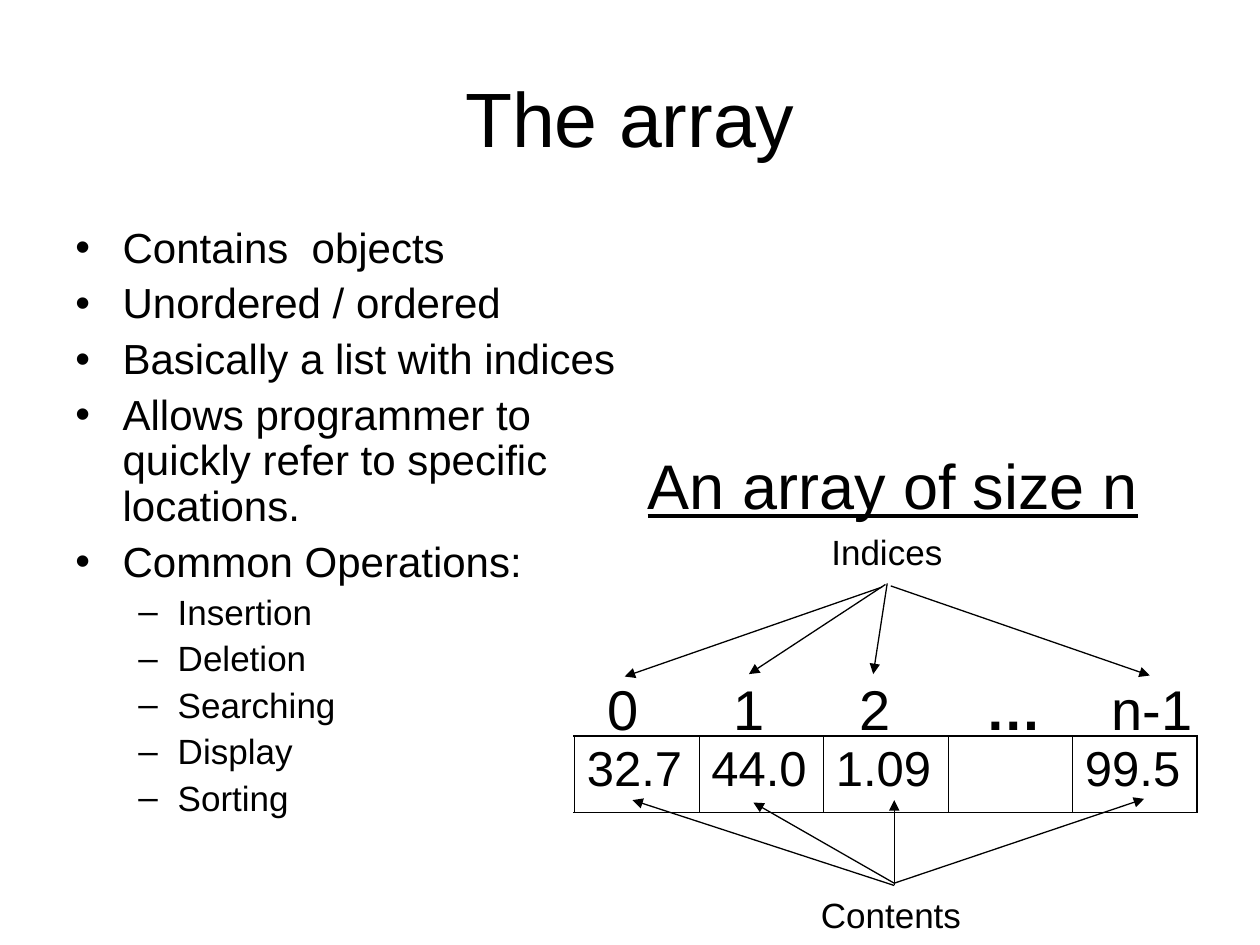
from pptx import Presentation
from pptx.dml.color import RGBColor
from pptx.enum import text
from pptx.oxml import parse_xml
from pptx.oxml.ns import nsdecls
from pptx.util import Pt

BLACK = RGBColor(0, 0, 0)
FONT = "Arial"

TITLE = "The array"
POINTS = [
    (0, "Contains  objects"),
    (0, "Unordered / ordered"),
    (0, "Basically a list with indices"),
    (0, "Allows programmer to quickly refer to specific locations."),
    (0, "Common Operations:"),
    (1, "Insertion"),
    (1, "Deletion"),
    (1, "Searching"),
    (1, "Display"),
    (1, "Sorting"),
]
# per level: bullet, size, space before, left margin, hanging indent
LEVELS = [("•", 24, 6, 27, 27), ("–", 20, 5, 58.5, 22.5)]

VALUES = ["32.7", "44.0", "1.09", "", "99.5"]
INDICES = ["0", "1", "2", "…", "n-1"]
TABLE_LEFT, TABLE_TOP, CELL_WIDTH, CELL_HEIGHT = 328.2, 420.5, 71.15, 43.8
TAB_STEP = 72
OUTER, INNER = 1.08, 0.45

# text, left, top, width, height, size, underlined
LABELS = [
    ("An array of size n", 363, 251.5, 294.5, 50.5, 36, True),
    ("Indices", 468, 299.5, 78, 31.5, 20, False),
    ("Contents", 462, 507, 94.5, 31.5, 20, False),
]
# start point, arrow point
ARROWS = [
    ((504, 335.5), (357, 386.6)),
    ((506, 334), (428, 385.2)),
    ((509, 334.8), (657, 386)),
    ((507, 333.4), (499, 385.2)),
    ((511, 504.7), (430.5, 458.6)),
    ((511, 506), (361.4, 457.2)),
    ((511, 504.7), (653.8, 456.5)),
    ((511, 506), (511, 457.2)),
]


def style(para, size):
    for span in para.runs:
        span.font.name = FONT
        span.font.size = Pt(size)
        span.font.color.rgb = BLACK


def xml(content):
    """Parse one drawing element, such as 'buChar char="•"'."""
    return parse_xml(f"<a:{content} {nsdecls('a')}/>")


def add_title(page):
    title = page.shapes.title
    title.left, title.top, title.width, title.height = Pt(36), Pt(21.6), Pt(648), Pt(90)
    title.text_frame.text = TITLE
    title.text_frame.vertical_anchor = text.MSO_ANCHOR.MIDDLE
    para = title.text_frame.paragraphs[0]
    para.alignment = text.PP_ALIGN.CENTER
    style(para, 44)


def add_points(page):
    box = page.shapes.add_textbox(Pt(36), Pt(126), Pt(343.5), Pt(356.4))
    frame = box.text_frame
    frame.word_wrap = True
    frame.text = "\n".join(words for _, words in POINTS)
    for para, (level, _) in zip(frame.paragraphs, POINTS):
        bullet, size, before, margin, hanging = LEVELS[level]
        para.level = level
        para.line_spacing = 0.9
        para.space_before = Pt(before)
        style(para, size)
        props = para._p.get_or_add_pPr()
        props.set("marL", str(Pt(margin)))
        props.set("indent", str(-Pt(hanging)))
        props.append(xml(f'buFont typeface="{FONT}"'))
        props.append(xml(f'buChar char="{bullet}"'))


def add_label(page, words, left, top, width, height, size, underlined=False):
    box = page.shapes.add_textbox(Pt(left), Pt(top), Pt(width), Pt(height))
    box.text_frame.word_wrap = False
    box.text_frame.text = words
    para = box.text_frame.paragraphs[0]
    style(para, size)
    if underlined:
        para.runs[0].font.underline = True
    return para


def add_indices(page):
    para = add_label(page, "", 340, 381.6, 348.5, 46, 32)
    tabs = xml("tabLst")
    for number, index in enumerate(INDICES):
        span = para.add_run()
        span.text = index if number == len(INDICES) - 1 else index + "\t"
        span.font.bold = index == "…"
        if number:
            tabs.append(xml(f'tab pos="{Pt(number * TAB_STEP)}" algn="l"'))
    para._p.get_or_add_pPr().append(tabs)
    style(para, 32)


def add_border(cell, side, width):
    line = xml(f'ln{side} w="{Pt(width)}"')
    fill = xml("solidFill")
    fill.append(xml(f'srgbClr val="{BLACK}"'))
    line.append(fill)
    cell._tc.get_or_add_tcPr().append(line)


def add_array(page):
    count = len(VALUES)
    table = page.shapes.add_table(
        1, count, Pt(TABLE_LEFT), Pt(TABLE_TOP), Pt(count * CELL_WIDTH), Pt(CELL_HEIGHT)
    ).table
    table.first_row = table.horz_banding = False
    for number, value in enumerate(VALUES):
        table.columns[number].width = Pt(CELL_WIDTH)
        cell = table.cell(0, number)
        cell.text = value
        para = cell.text_frame.paragraphs[0]
        para.space_before = Pt(7)
        style(para, 28)
        add_border(cell, "L", OUTER if number == 0 else INNER)
        add_border(cell, "R", OUTER if number == count - 1 else INNER)
        add_border(cell, "T", OUTER)
        add_border(cell, "B", OUTER)
        cell.fill.background()


def add_arrow(page, start, end):
    points = [Pt(value) for value in start + end]
    arrow = page.shapes.add_connector(1, *points)
    arrow.line.color.rgb = BLACK
    arrow.line.width = Pt(0.75)
    arrow.line._get_or_add_ln().append(xml('tailEnd type="triangle"'))
    arrow._element.spPr.append(xml("effectLst"))


def main():
    deck = Presentation()
    deck.slide_width, deck.slide_height = Pt(720), Pt(540)
    page = deck.slides.add_slide(deck.slide_layouts[5])
    add_title(page)
    add_points(page)
    add_array(page)
    add_indices(page)
    for label in LABELS:
        add_label(page, *label)
    for start, end in ARROWS:
        add_arrow(page, start, end)
    deck.save("out.pptx")


if __name__ == "__main__":
    main()
